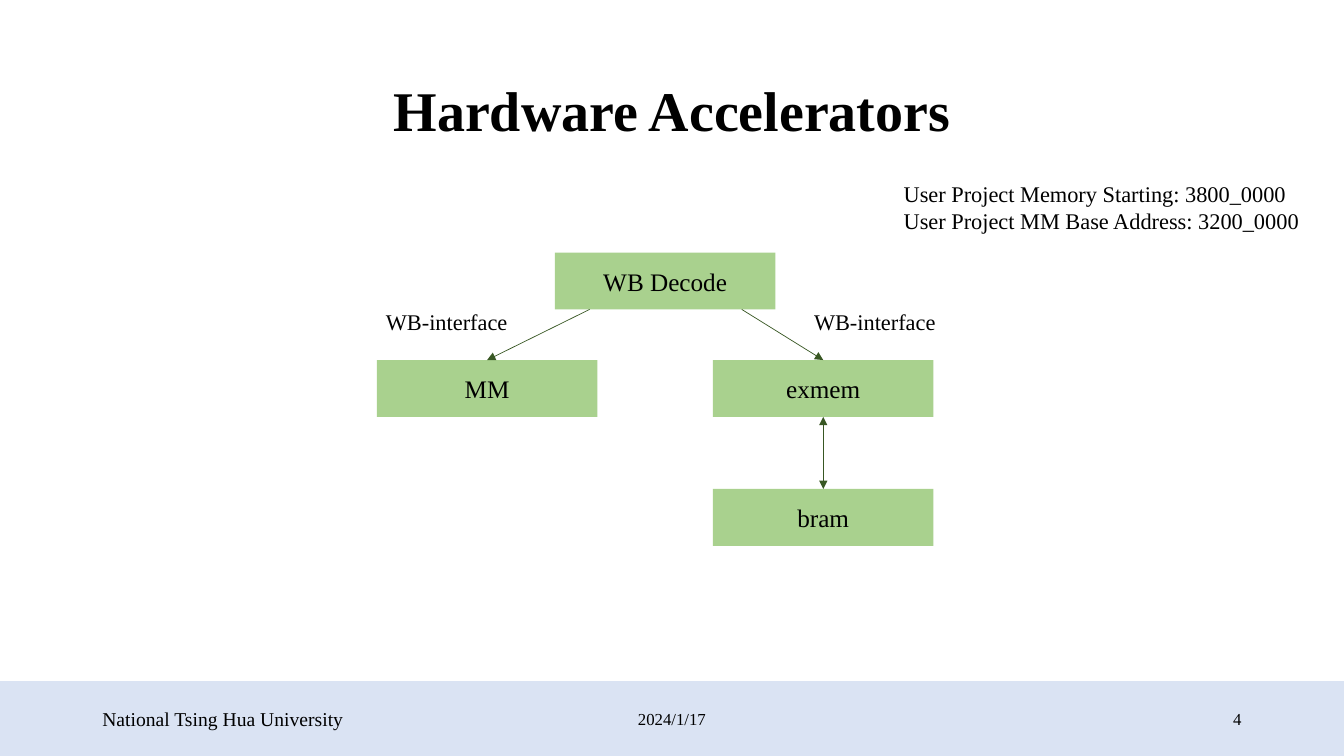
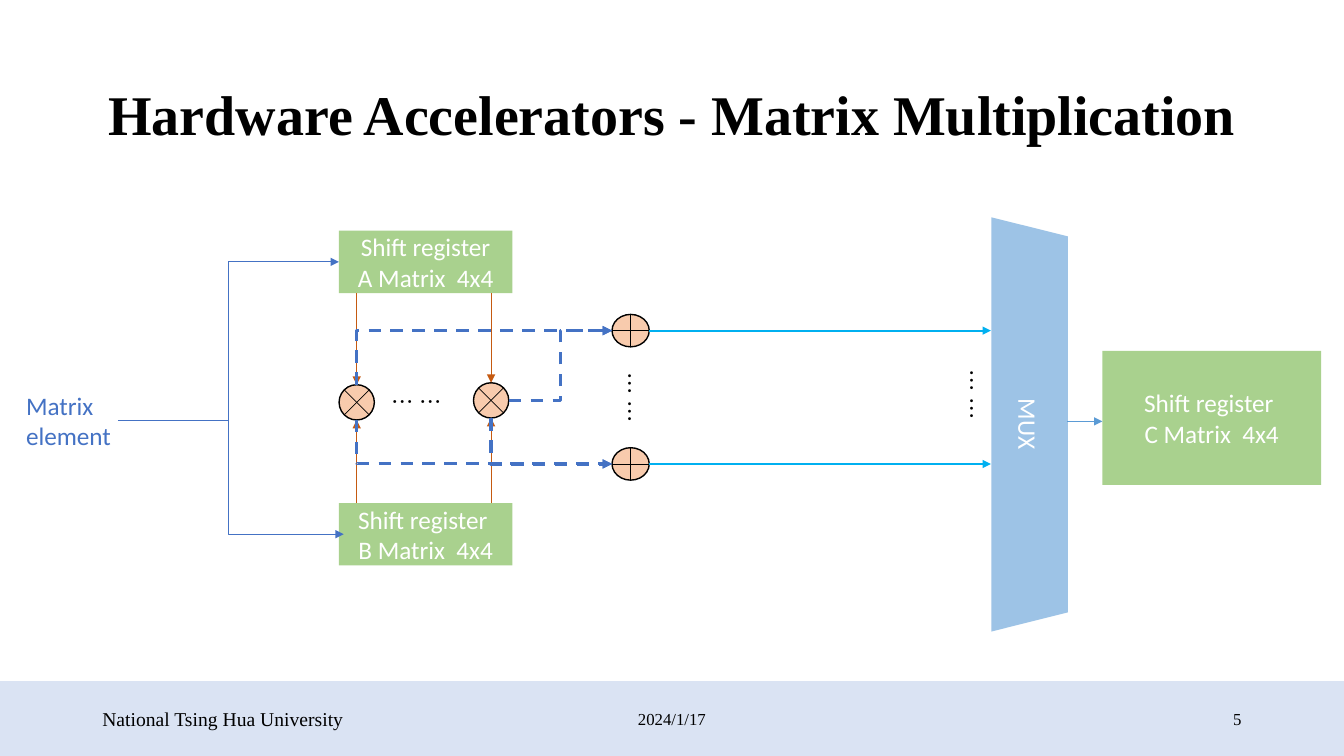
"""Build two slides on hardware accelerators for matrix multiplication."""
from dataclasses import dataclass
from typing import NamedTuple, Optional

from lxml.etree import SubElement
from pptx import Presentation
from pptx.dml.color import RGBColor
from pptx.enum.dml import MSO_LINE_DASH_STYLE as Dash
from pptx.enum.shapes import MSO_CONNECTOR as Link, MSO_SHAPE as Shape
from pptx.enum.text import MSO_ANCHOR as Anchor, MSO_AUTO_SIZE as Fit, PP_ALIGN as Align
from pptx.oxml.ns import qn
from pptx.shapes.autoshape import Shape as AutoShape
from pptx.shapes.connector import Connector
from pptx.slide import Slide
from pptx.text.text import TextFrame
from pptx.util import Pt


@dataclass(frozen=True)
class Theme:
    serif: str = "Times New Roman"
    sans: str = "Calibri"
    cjk: str = "Noto Sans CJK SC"
    ink: str = "000000"
    paper: str = "FFFFFF"
    band: str = "DAE3F3"
    block: str = "A9D18E"
    branch: str = "385723"
    operator: str = "F8CBAD"
    operand: str = "C55A11"
    element: str = "4472C4"
    total: str = "00B0F0"
    mux: str = "9DC3E6"
    result: str = "5B9BD5"
    title_size: float = 40
    block_size: float = 18
    label_size: float = 16
    footer_size: float = 14
    date_size: float = 12
    thin: float = 0.5
    outline: float = 1
    sum_width: float = 1.5
    product_width: float = 2.25


THEME = Theme()


class Box(NamedTuple):
    left: float
    top: float
    width: float
    height: float


class Point(NamedTuple):
    x: float
    y: float


@dataclass(frozen=True)
class TextStyle:
    size: float
    font: str = THEME.serif
    color: str = THEME.ink
    bold: bool = False
    align: Align = Align.LEFT
    anchor: Anchor = Anchor.MIDDLE
    spacing: float = 1.0
    grow: bool = False


@dataclass(frozen=True)
class Stroke:
    color: str
    width: float = THEME.thin
    dashed: bool = False
    head: bool = False
    tail: bool = True


TITLE = TextStyle(THEME.title_size, bold=True, align=Align.CENTER, spacing=0.9)
BLOCK = TextStyle(THEME.block_size, align=Align.CENTER)
REGISTER = TextStyle(THEME.block_size, THEME.sans, THEME.paper, align=Align.CENTER)
LABEL = TextStyle(THEME.label_size, anchor=Anchor.TOP, grow=True)
INPUT = TextStyle(THEME.block_size, THEME.sans, THEME.element, anchor=Anchor.TOP, grow=True)
DOTS = TextStyle(THEME.label_size, THEME.cjk, anchor=Anchor.TOP, grow=True)

BRANCH = Stroke(THEME.branch)
EXCHANGE = Stroke(THEME.branch, head=True)
FEED = Stroke(THEME.element)
OPERAND = Stroke(THEME.operand)
PRODUCT = Stroke(THEME.element, THEME.product_width, dashed=True)
SUM = Stroke(THEME.total, THEME.sum_width)
RESULT = Stroke(THEME.result)
SYMBOL = Stroke(THEME.ink, tail=False)


def write(frame: TextFrame, text: str, style: TextStyle) -> None:
    frame.text = text
    frame.word_wrap = True
    frame.vertical_anchor = style.anchor
    frame.auto_size = Fit.SHAPE_TO_FIT_TEXT if style.grow else Fit.NONE
    for paragraph in frame.paragraphs:
        paragraph.alignment = style.align
        paragraph.line_spacing = style.spacing
        for run in paragraph.runs:
            run.font.name = style.font
            run.font.size = Pt(style.size)
            run.font.bold = style.bold
            run.font.color.rgb = RGBColor.from_string(style.color)
            SubElement(run.font._element, qn("a:ea"), typeface=style.font)


def add_text(slide: Slide, box: Box, text: str, style: TextStyle, rotation: float = 0) -> None:
    caption = slide.shapes.add_textbox(*map(Pt, box))
    caption.rotation = rotation
    write(caption.text_frame, text, style)


def add_block(slide: Slide, box: Box, fill: str, text: str = "", style: TextStyle = BLOCK,
              kind: Shape = Shape.RECTANGLE, outlined: bool = False) -> AutoShape:
    block = slide.shapes.add_shape(kind, *map(Pt, box))
    block.shadow.inherit = False
    block.fill.solid()
    block.fill.fore_color.rgb = RGBColor.from_string(fill)
    if outlined:
        block.line.color.rgb = RGBColor.from_string(THEME.ink)
        block.line.width = Pt(THEME.outline)
    else:
        block.line.fill.background()
    if text:
        write(block.text_frame, text, style)
    return block


def add_link(slide: Slide, start: Point, end: Point, stroke: Stroke,
             kind: Link = Link.STRAIGHT) -> Connector:
    link = slide.shapes.add_connector(kind, *map(Pt, (*start, *end)))
    link.line.color.rgb = RGBColor.from_string(stroke.color)
    link.line.width = Pt(stroke.width)
    if stroke.dashed:
        link.line.dash_style = Dash.DASH
    outline = link.line._get_or_add_ln()
    for tag, shown in (("a:headEnd", stroke.head), ("a:tailEnd", stroke.tail)):
        if shown:
            SubElement(outline, qn(tag), type="triangle")
    SubElement(link._element.spPr, qn("a:effectLst"))
    return link


def add_step(slide: Slide, start: Point, end: Point, stroke: Stroke, turn: float = 0.5) -> None:
    step = add_link(slide, start, end, stroke, Link.ELBOW)
    adjustments = step._element.spPr.find(qn("a:prstGeom")).find(qn("a:avLst"))
    SubElement(adjustments, qn("a:gd"), name="adj1", fmla=f"val {round(turn * 100000)}")


def add_corner(slide: Slide, start: Point, end: Point, stroke: Stroke) -> None:
    corner = add_link(slide, start, end, stroke, Link.ELBOW)
    across, down = end.x - start.x, abs(end.y - start.y)
    corner.left = Pt((start.x + end.x - down) / 2)
    corner.top = Pt((start.y + end.y - across) / 2)
    corner.width, corner.height = Pt(down), Pt(across)
    rising = end.y < start.y
    frame = corner._element.spPr.find(qn("a:xfrm"))
    frame.set("rot", "5400000" if rising else "16200000")
    frame.set("flipH", "1")
    frame.set("flipV", "1" if rising else "0")
    corner._element.spPr.find(qn("a:prstGeom")).set("prst", "bentConnector2")


def add_operator(slide: Slide, center: Point, width: float, height: float, times: bool) -> None:
    x, y = center
    add_block(slide, Box(x - width / 2, y - height / 2, width, height), THEME.operator,
              kind=Shape.OVAL, outlined=True)
    if times:
        reach = width / 2 * 0.71
        strokes = ((reach, reach), (reach, -reach))
    else:
        strokes = ((width / 2, 0), (0, height / 2))
    for dx, dy in strokes:
        add_link(slide, Point(x - dx, y - dy), Point(x + dx, y + dy), SYMBOL)


def add_page(deck: Presentation, title: str, title_box: Box, number: int) -> Slide:
    slide = deck.slides.add_slide(deck.slide_layouts[6])
    add_block(slide, Box(0, 486.5, 960, 53.5), THEME.band)
    add_text(slide, title_box, title, TITLE)
    footers = (
        (372, 216, "2024/1/17", THEME.date_size, Align.CENTER),
        (66, 196, "National Tsing Hua University", THEME.footer_size, Align.LEFT),
        (678, 216, str(number), THEME.date_size, Align.RIGHT),
    )
    for left, width, text, size, align in footers:
        add_text(slide, Box(left, 499.2, width, 28.8), text, TextStyle(size, align=align))
    return slide


def build_overview(deck: Presentation) -> None:
    slide = add_page(deck, "Hardware Accelerators", Box(66, 28.8, 828, 104.4), 4)
    width, height = 157.5, 40.6
    places = {
        "WB Decode": Point(396.4, 180.4),
        "exmem": Point(509.3, 257.2),
        "bram": Point(509.3, 349.3),
        "MM": Point(269.2, 257.2),
    }
    blocks = {name: add_block(slide, Box(*place, width, height), THEME.block, name)
              for name, place in places.items()}
    for name, start_x in (("MM", 421.2), ("exmem", 529.8)):
        place = places[name]
        branch = add_link(slide, Point(start_x, 221), Point(place.x + width / 2, place.y), BRANCH)
        branch.end_connect(blocks[name], 0)
    middle = places["exmem"].x + width / 2
    exchange = add_link(slide, Point(middle, places["exmem"].y + height),
                        Point(middle, places["bram"].y), EXCHANGE)
    exchange.begin_connect(blocks["exmem"], 2)
    exchange.end_connect(blocks["bram"], 0)
    for left in (268.6, 574.4):
        add_text(slide, Box(left, 216.6, 206.6, 26.6), "WB-interface", LABEL)
    add_text(slide, Box(638.4, 125.2, 321.6, 65.5),
             "User Project Memory Starting: 3800_0000\nUser Project MM Base Address: 3200_0000", LABEL)


def add_registers(slide: Slide, a_matrix: Box, b_matrix: Box, c_matrix: Box) -> None:
    for box, text in ((a_matrix, "Shift register\nA Matrix  4x4"),
                      (b_matrix, "Shift register \nB Matrix  4x4"),
                      (c_matrix, "Shift register \nC Matrix  4x4")):
        add_block(slide, box, THEME.block, text, REGISTER)
    add_text(slide, Box(11.5, 275, 80.6, 51.1), "Matrix\nelement", INPUT)
    add_step(slide, Point(84.2, 300.2), Point(a_matrix.left, a_matrix.top + a_matrix.height / 2), FEED)
    add_step(slide, Point(146.2, 300.2), Point(245.5, b_matrix.top + b_matrix.height / 2), FEED, 0.17)


def build_multiplication(deck: Presentation) -> None:
    slide = add_page(deck, "Hardware Accelerators - Matrix Multiplication",
                     Box(27.4, 31.7, 905, 104.4), 5)
    a_matrix, b_matrix = (Box(242.1, top, 124, 44.6) for top in (164.8, 359.3))
    c_matrix = Box(787.5, 250.6, 156.2, 95.8)
    add_registers(slide, a_matrix, b_matrix, c_matrix)

    mux = add_block(slide, Box(587.5, 275.8, 295.9, 54.7), THEME.mux, "MUX", REGISTER, Shape.TRAPEZOID)
    mux.rotation = 90
    add_link(slide, Point(762.5, 301), Point(c_matrix.left, 301), RESULT)

    times_size, plus_width, plus_height = 25.2, 26.6, 23.2
    first, last = Point(254.8, 287.4), Point(350.8, 286)
    upper, lower = Point(450.5, 236.2), Point(450.5, 331.4)
    for center in (first, last):
        add_operator(slide, center, times_size, times_size, times=True)
        add_link(slide, Point(center.x, a_matrix.top + a_matrix.height),
                 Point(center.x, center.y - times_size / 2), OPERAND)
        add_link(slide, Point(center.x, b_matrix.top),
                 Point(center.x, center.y + times_size / 2), OPERAND)
    for center in (upper, lower):
        add_operator(slide, center, plus_width, plus_height, times=False)
        add_link(slide, Point(center.x + plus_width / 2, center.y), Point(707.8, center.y), SUM)

    sum_left = upper.x - plus_width / 2
    add_step(slide, Point(last.x + times_size / 2, last.y), Point(sum_left, upper.y), PRODUCT)
    for source, target, side in ((first, upper, -1), (first, lower, 1), (last, lower, 1)):
        add_corner(slide, Point(source.x, source.y + side * times_size / 2),
                   Point(sum_left, target.y), PRODUCT)

    for left, top, rotation in ((272.9, 273.6, 0), (419.8, 276.5, 90), (663.8, 274.3, 90)):
        add_text(slide, Box(left, top, 61.2, 26.6), "… …", DOTS, rotation)


def main() -> None:
    deck = Presentation()
    deck.slide_width, deck.slide_height = Pt(960), Pt(540)
    build_overview(deck)
    build_multiplication(deck)
    deck.save("out.pptx")


if __name__ == "__main__":
    main()
